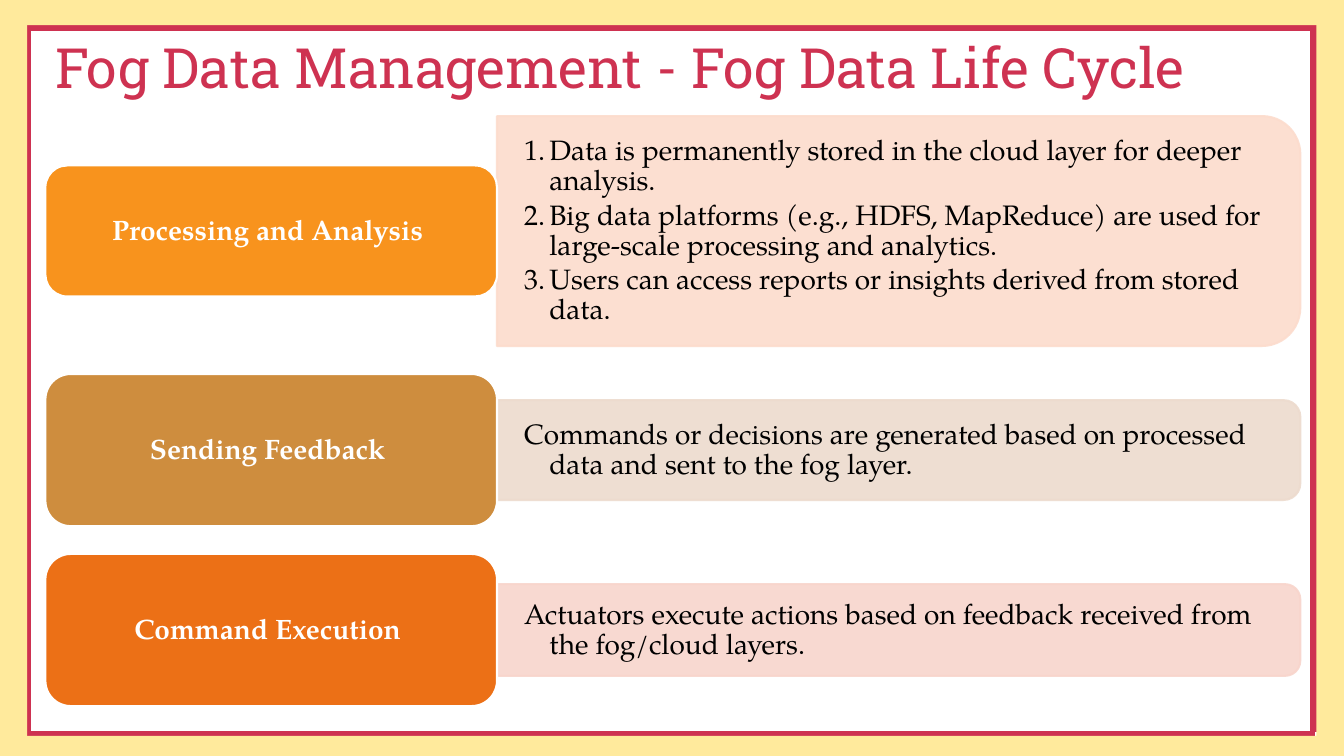
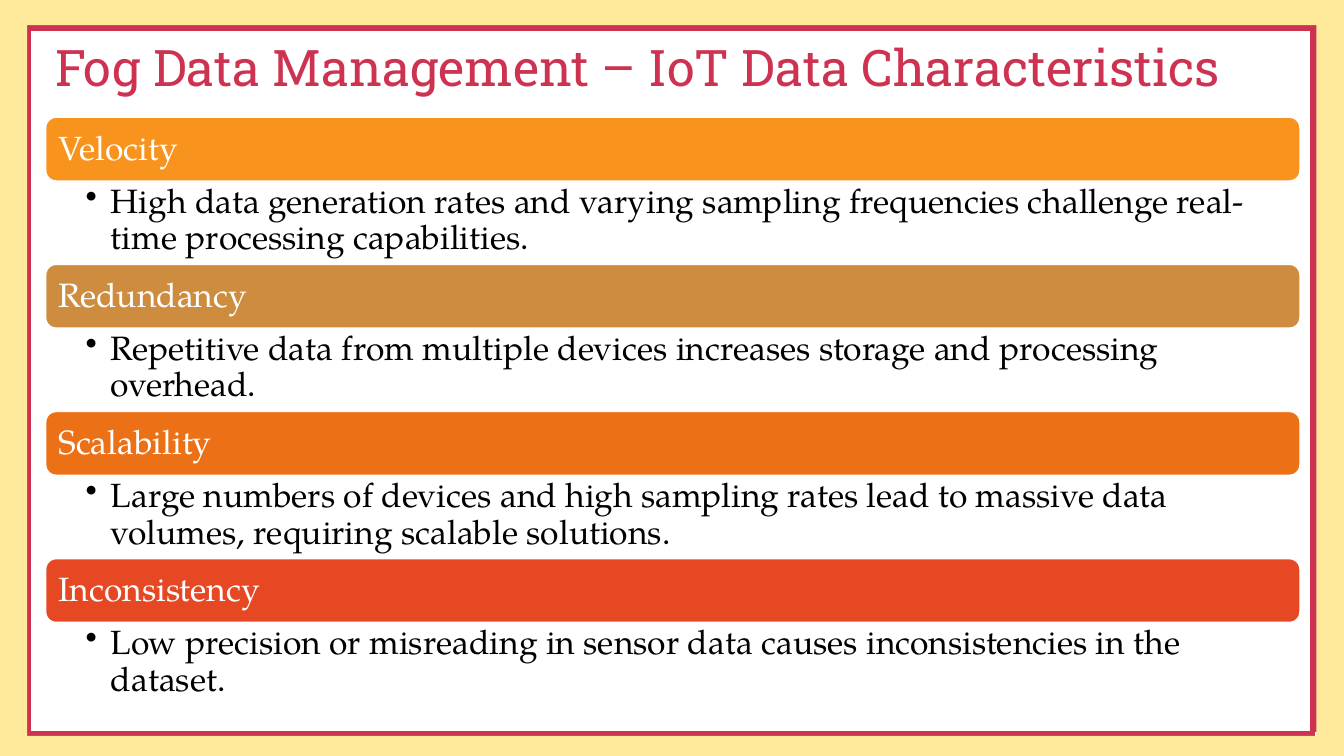
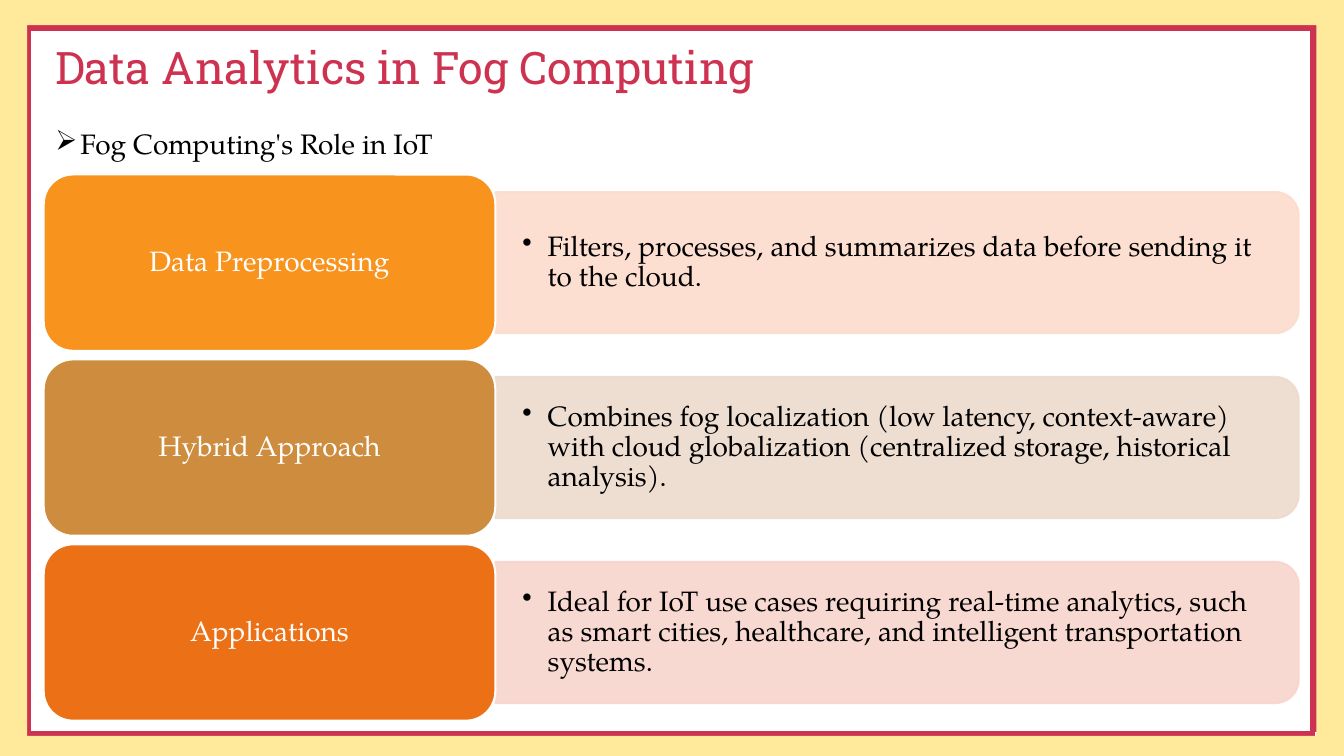
from dataclasses import dataclass
from typing import NamedTuple

from lxml import etree
from pptx import Presentation
from pptx.dml.color import RGBColor
from pptx.enum.shapes import MSO_CONNECTOR, MSO_SHAPE
from pptx.enum.text import MSO_ANCHOR, PP_ALIGN
from pptx.oxml.ns import qn
from pptx.shapes.autoshape import Shape
from pptx.slide import Slide
from pptx.text.text import TextFrame
from pptx.util import Pt

RECTANGLE = MSO_SHAPE.RECTANGLE
ROUNDED = MSO_SHAPE.ROUNDED_RECTANGLE
ROUNDED_TOP = MSO_SHAPE.ROUND_2_SAME_RECTANGLE
STRAIGHT = MSO_CONNECTOR.STRAIGHT
TOP, MIDDLE = MSO_ANCHOR.TOP, MSO_ANCHOR.MIDDLE
LEFT, CENTER, JUSTIFY = PP_ALIGN.LEFT, PP_ALIGN.CENTER, PP_ALIGN.JUSTIFY
NUMBERED = "arabicPeriod"


@dataclass(frozen=True)
class Theme:
    crimson: str = "CE3251"
    cream: str = "FFEA9C"
    white: str = "FFFFFF"
    black: str = "000000"
    accents: tuple[str, ...] = ("F8931D", "CE8D3E", "EC7016", "E64823")
    tints: tuple[str, ...] = ("FCDCCD", "EDDBCE", "F8D5CC")
    tint_alpha: int = 90000
    title_font: str = "Roboto Slab"
    body_font: str = "TeX Gyre Pagella"
    card_size: float = 20
    bar_size: float = 24
    frame_width: float = 4.5
    outline: float = 1.5


THEME = Theme()


class Box(NamedTuple):
    left: float
    top: float
    width: float
    height: float


class Insets(NamedTuple):
    left: float = 7.2
    top: float = 3.6
    right: float = 7.2
    bottom: float = 3.6


class Style(NamedTuple):
    size: float
    color: str
    font: str = THEME.body_font
    bold: bool = False
    align: PP_ALIGN = LEFT
    spacing: float = 0.9
    after: float = 0
    hanging: bool = False
    bullet: str = ""


class Row(NamedTuple):
    label: str
    details: tuple[str, ...]
    center: float
    label_height: float
    detail_height: float
    bullet: str = ""


class Trait(NamedTuple):
    name: str
    detail: str


CONTENT = Box(32.4, 25.2, 896.4, 49.7)
FRAME_LINES = (
    (18.7, 524.2, 939.6, 524.2),
    (20.2, 20.2, 20.2, 525.6),
    (19.4, 20.2, 940.3, 20.2),
    (938.2, 17.3, 938.2, 522.7),
)
BANDS = (
    Box(0, 0, 960, 18),
    Box(0, 525.6, 960, 14.4),
    Box(940.3, 18, 19.7, 522),
    Box(0, 18, 19.4, 522),
)
LABEL_WIDTH, DETAIL_WIDTH = 322.6, 573.8
CORNER_INSET = 0.0488
LABEL_INSETS = Insets(5.8, 2.9, 5.8, 2.9)
DETAIL_INSETS = Insets(19.4, 10.1, 19.4, 10.1)
BAR_INSETS = Insets(7.2, 7.2, 7.2, 7.2)
TRAIT_INSETS = Insets(28.8, 2.2, 13.7, 2.2)
TRAITS_TOP, TRAIT_PITCH, BAR_HEIGHT = 83.5, 105.1, 46

LIFE_CYCLE = (
    Row("Processing and Analysis ", (
        "Data is permanently stored in the cloud layer for deeper analysis.",
        "Big data platforms (e.g., HDFS, MapReduce) are used for large-scale processing and analytics.",
        "Users can access reports or insights derived from stored data.",
    ), 165, 93.6, 164.2, NUMBERED),
    Row("Sending Feedback ", (
        "Commands or decisions are generated based on processed data and sent to the fog layer.",
    ), 321.5, 108.7, 71.3),
    Row("Command Execution ", (
        "Actuators execute actions based on feedback received from the fog/cloud layers.",
    ), 450, 108.7, 65.5),
)
TRAITS = (
    Trait("Velocity", "High data generation rates and varying sampling frequencies challenge real-time processing capabilities."),
    Trait("Redundancy", "Repetitive data from multiple devices increases storage and processing overhead."),
    Trait("Scalability", "Large numbers of devices and high sampling rates lead to massive data volumes, requiring scalable solutions."),
    Trait("Inconsistency", "Low precision or misreading in sensor data causes inconsistencies in the dataset."),
)
ROLES = (
    Trait("Data Preprocessing", "Filters, processes, and summarizes data before sending it to the cloud."),
    Trait("Hybrid Approach", "Combines fog localization (low latency, context-aware) with cloud globalization (centralized storage, historical analysis)."),
    Trait("Applications", "Ideal for IoT use cases requiring real-time analytics, such as smart cities, healthcare, and intelligent transportation systems."),
)
ROLE_ROWS = tuple(
    Row(role.name, (role.detail,), 187.6 + 132.1 * index, 126, 100.8, "•")
    for index, role in enumerate(ROLES)
)


def points(values: tuple[float, ...]) -> list[Pt]:
    return [Pt(value) for value in values]


def write(frame: TextFrame, texts: tuple[str, ...], style: Style,
          insets: Insets = Insets(), anchor: MSO_ANCHOR = MIDDLE) -> None:
    frame.word_wrap = True
    frame.vertical_anchor = anchor
    (frame.margin_left, frame.margin_top,
     frame.margin_right, frame.margin_bottom) = points(insets)
    for index, text in enumerate(texts):
        paragraph = frame.add_paragraph() if index else frame.paragraphs[0]
        properties = paragraph._p.get_or_add_pPr()
        if style.hanging:
            properties.set("marL", str(Pt(18)))
            properties.set("indent", str(-Pt(18)))
        if style.bullet == NUMBERED:
            etree.SubElement(properties, qn("a:buAutoNum"), type=NUMBERED)
        elif style.bullet:
            etree.SubElement(properties, qn("a:buChar"), char=style.bullet)
        paragraph.alignment = style.align
        paragraph.line_spacing = style.spacing
        paragraph.space_after = Pt(style.after)
        run = paragraph.add_run()
        run.text = text
        run.font.name = style.font
        run.font.size = Pt(style.size)
        run.font.bold = style.bold
        run.font.color.rgb = RGBColor.from_string(style.color)


def add_text(slide: Slide, box: Box, texts: tuple[str, ...], style: Style,
             insets: Insets = Insets(), anchor: MSO_ANCHOR = MIDDLE) -> None:
    write(slide.shapes.add_textbox(*points(box)).text_frame, texts, style, insets, anchor)


def add_panel(slide: Slide, preset: MSO_SHAPE, box: Box, fill: str, line: str = "") -> Shape:
    panel = slide.shapes.add_shape(preset, *points(box))
    panel.shadow.inherit = False
    panel.fill.solid()
    panel.fill.fore_color.rgb = RGBColor.from_string(fill)
    if line:
        panel.line.color.rgb = RGBColor.from_string(line)
        panel.line.width = Pt(THEME.outline)
    else:
        panel.line.fill.background()
    return panel


def add_frame(slide: Slide) -> None:
    for ends in FRAME_LINES:
        edge = slide.shapes.add_connector(STRAIGHT, *points(ends))
        edge.line.color.rgb = RGBColor.from_string(THEME.crimson)
        edge.line.width = Pt(THEME.frame_width)
        etree.SubElement(edge._element.spPr, qn("a:effectLst"))
    for band in BANDS:
        add_panel(slide, RECTANGLE, band, THEME.cream)


def add_slide(deck: Presentation, title: str, size: float) -> Slide:
    slide = deck.slides.add_slide(deck.slide_layouts[6])
    add_frame(slide)
    add_text(slide, CONTENT, (title,), Style(size, THEME.crimson, THEME.title_font))
    return slide


def add_detail(slide: Slide, row: Row, left: float, tint: str) -> None:
    height = row.detail_height
    upright = Box(left + (DETAIL_WIDTH - height) / 2, row.center - DETAIL_WIDTH / 2,
                  height, DETAIL_WIDTH)
    card = add_panel(slide, ROUNDED_TOP, upright, tint, tint)
    card.rotation = 90
    for color in card._element.spPr.iter(qn("a:srgbClr")):
        etree.SubElement(color, qn("a:alpha"), val=str(THEME.tint_alpha))
    area = Box(left, row.center - height / 2, DETAIL_WIDTH - height * CORNER_INSET, height)
    style = Style(THEME.card_size, THEME.black, after=3, hanging=True, bullet=row.bullet)
    add_text(slide, area, row.details, style, DETAIL_INSETS)


def add_rows(slide: Slide, rows: tuple[Row, ...], left: float, bold: bool) -> None:
    style = Style(THEME.card_size, THEME.white, bold=bold, align=CENTER)
    for row, accent, tint in zip(rows, THEME.accents, THEME.tints):
        add_detail(slide, row, left + LABEL_WIDTH, tint)
        box = Box(left, row.center - row.label_height / 2, LABEL_WIDTH, row.label_height)
        label = add_panel(slide, ROUNDED, box, accent, THEME.white)
        write(label.text_frame, (row.label,), style, LABEL_INSETS)


def add_traits(slide: Slide) -> None:
    name_style = Style(THEME.bar_size, THEME.white)
    detail_style = Style(THEME.bar_size, THEME.black, hanging=True, bullet="•")
    for index, (trait, accent) in enumerate(zip(TRAITS, THEME.accents)):
        top = TRAITS_TOP + index * TRAIT_PITCH
        bar = add_panel(slide, ROUNDED, Box(CONTENT.left, top, CONTENT.width, BAR_HEIGHT),
                        accent, THEME.white)
        write(bar.text_frame, (trait.name,), name_style, BAR_INSETS)
        area = Box(CONTENT.left, top + BAR_HEIGHT, CONTENT.width, TRAIT_PITCH - BAR_HEIGHT)
        add_text(slide, area, (trait.detail,), detail_style, TRAIT_INSETS, TOP)


def main() -> None:
    deck = Presentation()
    deck.slide_width, deck.slide_height = Pt(960), Pt(540)

    life_cycle = add_slide(deck, "Fog Data Management - Fog Data Life Cycle", 39.6)
    add_rows(life_cycle, LIFE_CYCLE, 32.4, True)

    characteristics = add_slide(deck, "Fog Data Management – IoT Data Characteristics", 36)
    add_traits(characteristics)

    analytics = add_slide(deck, "Data Analytics in Fog Computing", 32)
    role_style = Style(THEME.card_size, THEME.black, align=JUSTIFY, spacing=1.5,
                       hanging=True, bullet="➢")
    add_text(analytics, Box(CONTENT.left, 74.9, CONTENT.width, 46),
             ("Fog Computing's Role in IoT",), role_style, anchor=TOP)
    add_rows(analytics, ROLE_ROWS, 31.2, False)

    deck.save("out.pptx")


if __name__ == "__main__":
    main()
